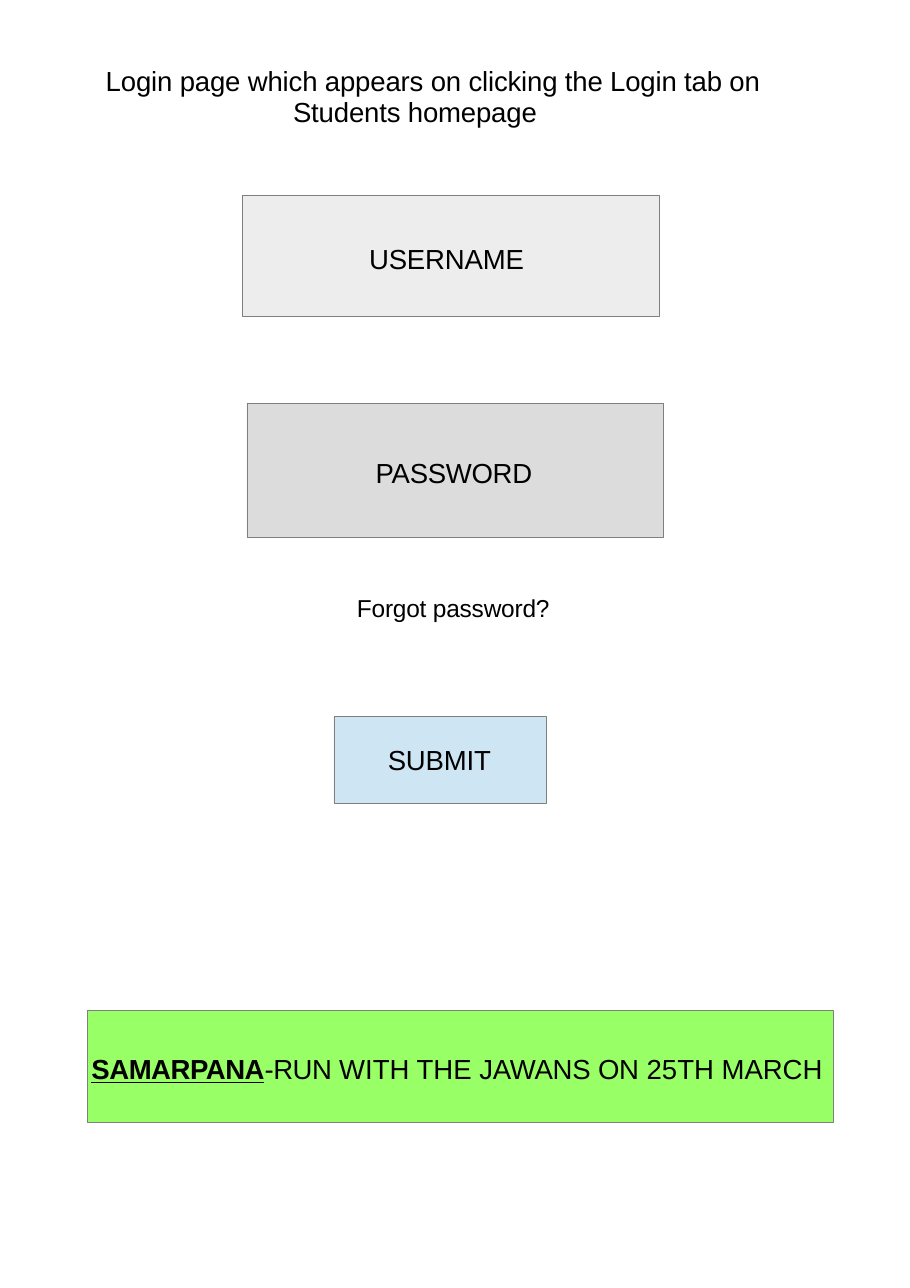
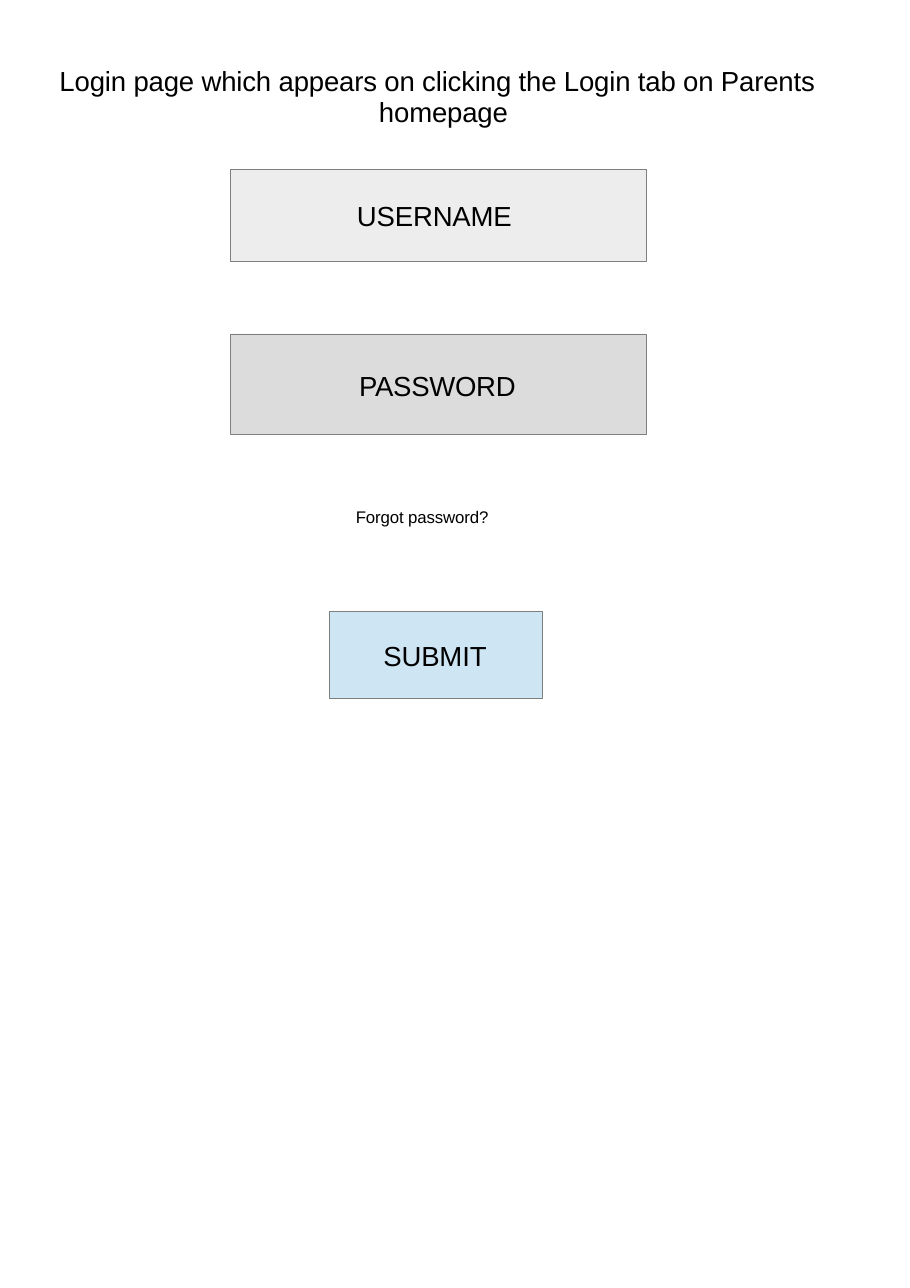
from pptx import Presentation
from pptx.dml.color import RGBColor
from pptx.enum.shapes import MSO_SHAPE
from pptx.enum.text import MSO_ANCHOR, MSO_AUTO_SIZE, PP_ALIGN
from pptx.util import Inches, Pt

HUES = {"text": "000000", "edge": "7F7F7F", "user": "EDEDED",
        "pass": "DCDCDC", "send": "CEE6F4", "news": "99FF66"}
FONT = "Arial"
WIDE = 3.78


def hue(name):
    return RGBColor.from_string(HUES[name])


def style(run, size=18, gap=-10):
    """Shared font; gap is letter spacing in hundredths of a point."""
    run.font.name = FONT
    run.font.size = Pt(size)
    run.font.color.rgb = hue("text")
    run._r.get_or_add_rPr().set("spc", str(gap))


def setup(frame, left=0, top=0, anchor=MSO_ANCHOR.MIDDLE):
    frame.word_wrap = True
    frame.auto_size = MSO_AUTO_SIZE.NONE
    frame.vertical_anchor = anchor
    frame.margin_left, frame.margin_top = Inches(left), Inches(top)
    frame.margin_right = frame.margin_bottom = 0
    frame.paragraphs[0].alignment = PP_ALIGN.LEFT
    return frame


def title(slide, text, left, width, hang):
    """Heading whose second line starts at the hanging indent."""
    head = slide.shapes.title
    head.left, head.top = Inches(left), Inches(0.56)
    head.width, head.height = Inches(width), Inches(0.61)
    head.text_frame.text = text
    frame = setup(head.text_frame, top=0.04, anchor=MSO_ANCHOR.TOP)
    para = frame.paragraphs[0]
    props = para._p.get_or_add_pPr()
    props.set("marL", str(Inches(hang)))
    props.set("indent", str(Inches(0.01 - hang)))
    para.line_spacing = Pt(20.2)
    style(para.runs[0])


def panel(slide, box, fill, inset, drop=0):
    """Outlined box; returns its text frame."""
    rect = slide.shapes.add_shape(MSO_SHAPE.RECTANGLE, *map(Inches, box))
    rect.shadow.inherit = False
    rect.fill.solid()
    rect.fill.fore_color.rgb = hue(fill)
    rect.line.color.rgb = hue("edge")
    rect.line.width = Pt(0.25)
    return setup(rect.text_frame, inset, drop)


def label(slide, box, text, size):
    area = slide.shapes.add_textbox(*map(Inches, box))
    area.text_frame.text = text
    frame = setup(area.text_frame, 0.01, 0.01, MSO_ANCHOR.TOP)
    style(frame.paragraphs[0].runs[0], size)


def form(slide, left, top, user, word, link, send):
    """Login form; offsets in the parts are from its left top corner."""
    # Input fields and button: (dx, dy, width, height, drop)
    for text, fill, inset, gap, part in (
            ("USERNAME", "user", 1.15, -10, user),
            ("PASSWORD", "pass", 1.17, -20, word),
            ("SUBMIT", "send", 0.49, -10, send)):
        dx, dy, width, height, drop = part
        frame = panel(slide, (left + dx, top + dy, width, height),
                      fill, inset, drop)
        frame.text = text
        style(frame.paragraphs[0].runs[0], gap=gap)
    # Recovery link: (dx, dy, width, height, size)
    dx, dy, width, height, size = link
    label(slide, (left + dx, top + dy, width, height),
          "Forgot password?", size)


def banner(slide, box):
    """Event notice with an underlined name."""
    para = panel(slide, box, "news", 0.04, 0.03).paragraphs[0]
    for text, strong, gap in (("SAMARPANA", True, -30),
                              ("-RUN ", False, -30),
                              ("WITH THE ", False, 0),
                              ("JAWANS ", False, -20),
                              ("ON ", False, -10),
                              ("25TH MARCH", False, 0)):
        run = para.add_run()
        run.text = text
        style(run, gap=gap)
        run.font.bold = run.font.underline = strong


def main():
    deck = Presentation()
    deck.slide_width, deck.slide_height = Inches(8.26), Inches(11.69)
    plain = deck.slide_layouts[5]

    # Students login
    slide = deck.slides.add_slide(plain)
    title(slide, "Login page which appears on clicking the Login tab on "
          "Students homepage", 0.95, 6.02, 1.71)
    form(slide, 2.2, 1.77,
         user=(0, 0, WIDE, 1.1, 0.05),
         word=(0.04, 1.89, WIDE, 1.22, 0.04),
         link=(1.03, 3.6, 1.8, 0.29, 16),
         send=(0.83, 4.73, 1.93, 0.79, 0))
    banner(slide, (0.79, 9.17, 6.77, 1.02))

    # Parents login
    slide = deck.slides.add_slide(plain)
    title(slide, "Login page which appears on clicking the Login tab on "
          "Parents homepage", 0.53, 6.95, 2.91)
    form(slide, 2.09, 1.54,
         user=(0, 0, WIDE, 0.83, 0),
         word=(0, 1.49, WIDE, 0.91, 0.03),
         link=(1.13, 3.05, 1.25, 0.21, 11),
         send=(0.9, 4.01, 1.93, 0.79, 0))

    deck.save("out.pptx")


if __name__ == "__main__":
    main()
